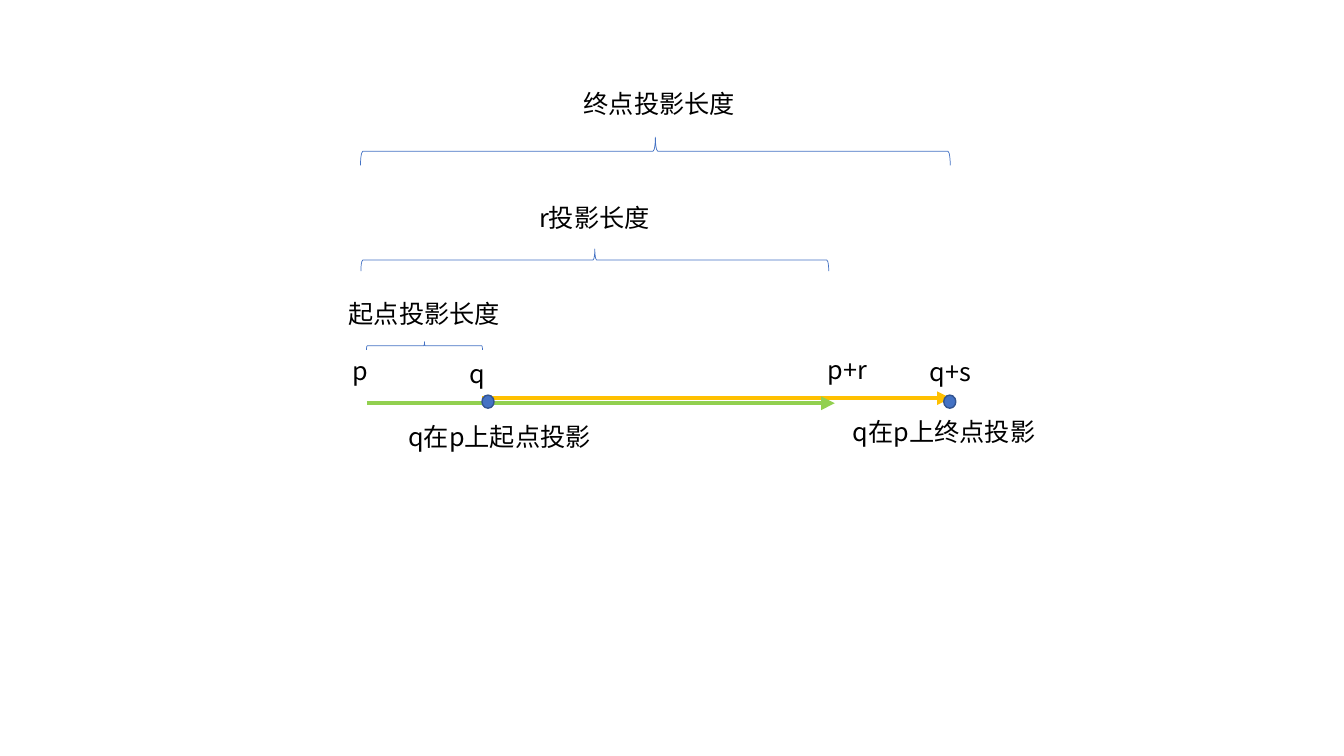
from lxml import etree
from pptx import Presentation
from pptx import util as u
from pptx.dml.color import RGBColor
from pptx.enum import shapes, text
from pptx.oxml.ns import qn

COLORS = {"text": "000000", "blue": "4472C4", "outline": "325491",
          "green": "92D050", "gold": "FFC000"}


def write(para, content, font, size, color):
    """Add one formatted span to a paragraph."""
    span = para.add_run()
    span.text = content
    span.font.name = font
    span.font.size = u.Pt(size)
    span.font.color.rgb = RGBColor.from_string(COLORS[color])
    etree.SubElement(span.font._element, qn("a:ea")).set("typeface", font)


class Diagram:
    font = "Noto Sans CJK SC"
    size = 18

    def __init__(self, page):
        self.page = page

    def stroke(self, line, color, width):
        line.color.rgb = RGBColor.from_string(COLORS[color])
        line.width = u.Pt(width)

    def label(self, content, left, top, width, wrap=True):
        box = self.page.shapes.add_textbox(
            *map(u.Inches, (left, top, width, 0.4)))
        frame = box.text_frame
        frame.word_wrap = wrap
        frame.auto_size = text.MSO_AUTO_SIZE.SHAPE_TO_FIT_TEXT
        write(frame.paragraphs[0], content, font=self.font,
              size=self.size, color="text")

    def arrow(self, start, end, y, color):
        arrow = self.page.shapes.add_connector(
            shapes.MSO_CONNECTOR.STRAIGHT,
            *map(u.Inches, (start, y, end, y)))
        self.stroke(arrow.line, color, 3.25)
        etree.SubElement(arrow.line._get_or_add_ln(),
                         qn("a:tailEnd")).set("type", "triangle")
        etree.SubElement(arrow._element.spPr, qn("a:effectLst"))

    def shape(self, kind, left, top, width, height):
        shape = self.page.shapes.add_shape(
            kind, *map(u.Inches, (left, top, width, height)))
        shape.shadow.inherit = False
        return shape

    def dot(self, left, top):
        dot = self.shape(shapes.MSO_SHAPE.OVAL, left, top, 0.12, 0.13)
        dot.fill.solid()
        dot.fill.fore_color.rgb = RGBColor.from_string(COLORS["blue"])
        self.stroke(dot.line, "outline", 1)

    def brace(self, center, middle, span, depth):
        """Draw a brace that opens downwards around its centre."""
        brace = self.shape(shapes.MSO_SHAPE.RIGHT_BRACE, center - depth / 2,
                           middle - span / 2, depth, span)
        brace.rotation = 270
        brace.fill.background()
        self.stroke(brace.line, "blue", 0.5)


deck = Presentation()
deck.slide_width, deck.slide_height = u.Inches(13.33), u.Inches(7.5)
diagram = Diagram(deck.slides.add_slide(deck.slide_layouts[6]))

# Vectors s and r
diagram.arrow(4.78, 9.43, 3.95, "gold")
diagram.arrow(3.64, 8.28, 4, "green")

# End points of the vectors
for name, left, top, width in (("p", 3.4, 3.48, 0.35),
                               ("p+r", 8.11, 3.47, 0.6),
                               ("q", 4.56, 3.51, 0.35),
                               ("q+s", 9.12, 3.49, 0.62)):
    diagram.label(name, left, top, width, wrap=False)

# Projected points
for left in (4.78, 9.36):
    diagram.dot(left, 3.92)
diagram.label("q在p上起点投影", 3.95, 4.13, 2.01)
diagram.label("q在p上终点投影", 8.36, 4.08, 2.01)

# Projection lengths: brace, then its label
for brace, label in (
        ((4.21, 3.43, 1.15, 0.08), ("起点投影长度", 3.36, 2.91, 1.72)),
        ((5.9, 2.58, 4.64, 0.22), ("r投影长度", 5.25, 1.96, 1.3)),
        ((6.5, 1.5, 5.85, 0.28), ("终点投影长度", 5.69, 0.83, 1.72))):
    diagram.brace(*brace)
    diagram.label(*label)

deck.save("out.pptx")
